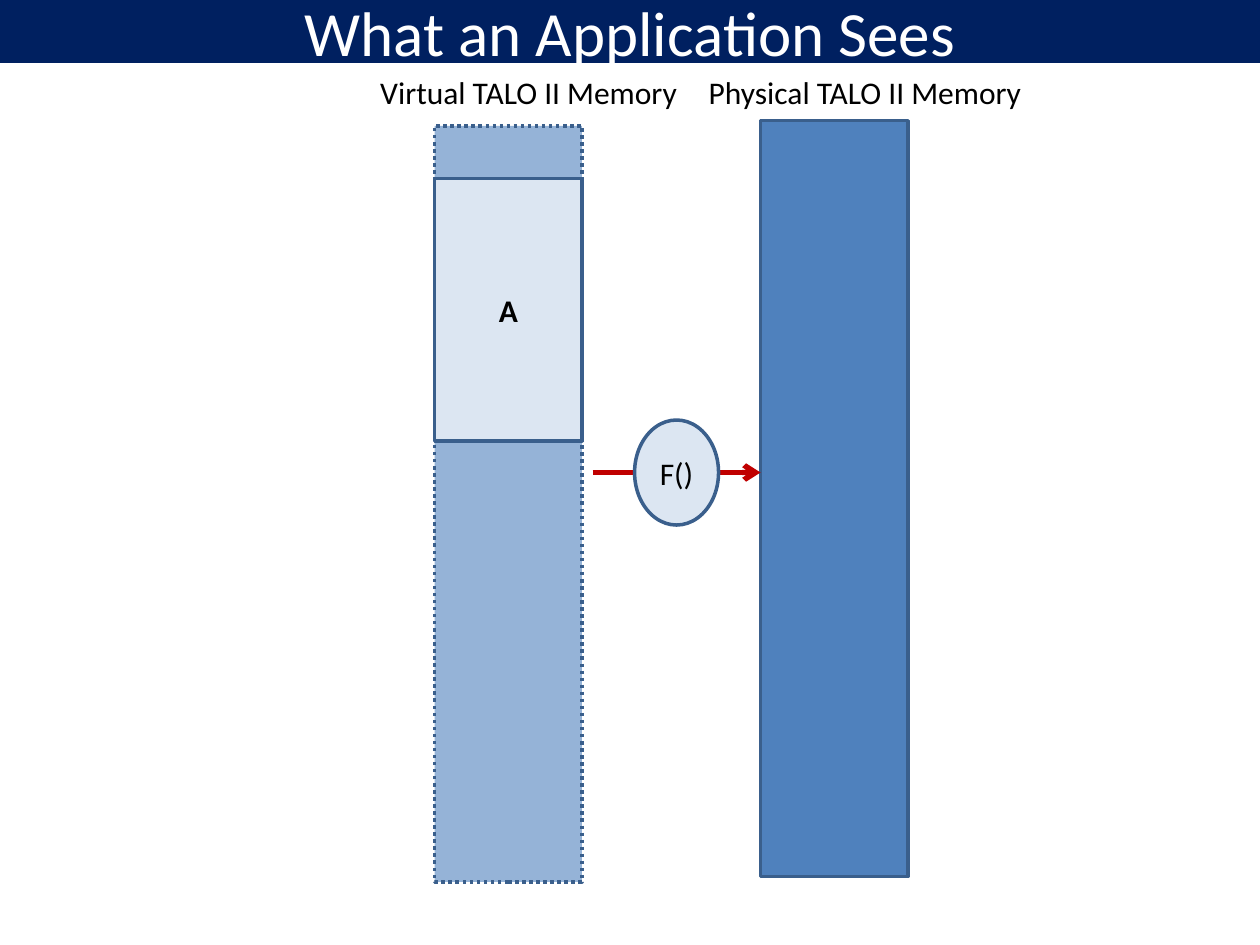
from lxml import etree
from pptx import Presentation
from pptx.dml.color import RGBColor
from pptx.enum import dml, shapes, text
from pptx.oxml.ns import qn
from pptx.util import Pt

NAVY, EDGE, PALE, RED = "002060", "3A5F8C", "DCE6F2", "C00000"
RECT, OVAL = shapes.MSO_SHAPE.RECTANGLE, shapes.MSO_SHAPE.OVAL


def rgb(value):
    """Turn a hex string into a colour."""
    return RGBColor.from_string(value)


def add_run(tf, words, size=18, color="000000", bold=False):
    """Add one styled run to the first paragraph."""
    p = tf.paragraphs[0]
    r = p.add_run()
    r.text = words
    r.font.name = "Calibri"
    r.font.size = Pt(size)
    r.font.bold = bold
    r.font.color.rgb = rgb(color)
    return p


def add_box(s, kind, box, fill, edge=EDGE, dash=None):
    """Draw a filled preset shape with an optional outline."""
    sp = s.shapes.add_shape(kind, *map(Pt, box))
    sp.shadow.inherit = False
    sp.fill.solid()
    sp.fill.fore_color.rgb = rgb(fill)
    if edge:
        sp.line.color.rgb = rgb(edge)
        sp.line.width = Pt(2)
        if dash:
            sp.line.dash_style = dash
    else:
        sp.line.fill.background()
    return sp


def write_centered(sp, words, **style):
    """Write text in the middle of a shape."""
    tf = sp.text_frame
    tf.vertical_anchor = text.MSO_ANCHOR.MIDDLE
    add_run(tf, words, **style).alignment = text.PP_ALIGN.CENTER


def add_label(s, box, words):
    """Place a one-line column heading."""
    tf = s.shapes.add_textbox(*map(Pt, box)).text_frame
    tf.word_wrap = False
    tf.auto_size = text.MSO_AUTO_SIZE.SHAPE_TO_FIT_TEXT
    add_run(tf, words)


def add_title(s, box, words):
    """Draw the title band."""
    write_centered(add_box(s, RECT, box, NAVY, None), words, size=36, color="FFFFFF")


def add_virtual_memory(s, box):
    """Draw the dotted virtual memory with the application inside."""
    x, y, w, h = box
    add_box(s, RECT, box, "95B3D7", dash=dml.MSO_LINE.ROUND_DOT)
    app = add_box(s, RECT, (x, y + 30, w, 150), PALE)
    write_centered(app, "A", bold=True)
    add_label(s, (x - 38.2, 38.2, 185.8, 29), "Virtual TALO II Memory")


def add_physical_memory(s, box):
    """Draw the solid physical memory."""
    add_box(s, RECT, box, "4F81BD")
    add_label(s, (box[0] - 36.7, 38.2, 194.4, 29), "Physical TALO II Memory")


def add_mapping(s, box):
    """Draw the mapping arrow with its function on top."""
    x, y, w, h = box
    mid = y + h / 2
    line = s.shapes.add_connector(
        shapes.MSO_CONNECTOR.STRAIGHT, Pt(x), Pt(mid), Pt(x + w), Pt(mid))
    line.line.color.rgb = rgb(RED)
    line.line.width = Pt(3)
    etree.SubElement(line.line._get_or_add_ln(), qn("a:tailEnd"), type="arrow")
    etree.SubElement(line._element.spPr, qn("a:effectLst"))
    func = add_box(s, OVAL, (x + 24, y, 48, h), PALE)
    func.text_frame.margin_left = func.text_frame.margin_right = 0
    write_centered(func, "F()")


def main():
    """Build and save the slide."""
    prs = Presentation()
    prs.slide_width, prs.slide_height = Pt(720), Pt(540)
    s = prs.slides.add_slide(prs.slide_layouts[6])
    add_title(s, (0, 0, 720, 36), "What an Application Sees")
    add_virtual_memory(s, (248.4, 72, 84.2, 432))
    add_physical_memory(s, (434.6, 69, 84.2, 432))
    add_mapping(s, (338.6, 240, 96, 60))
    prs.save("out.pptx")


if __name__ == "__main__":
    main()
